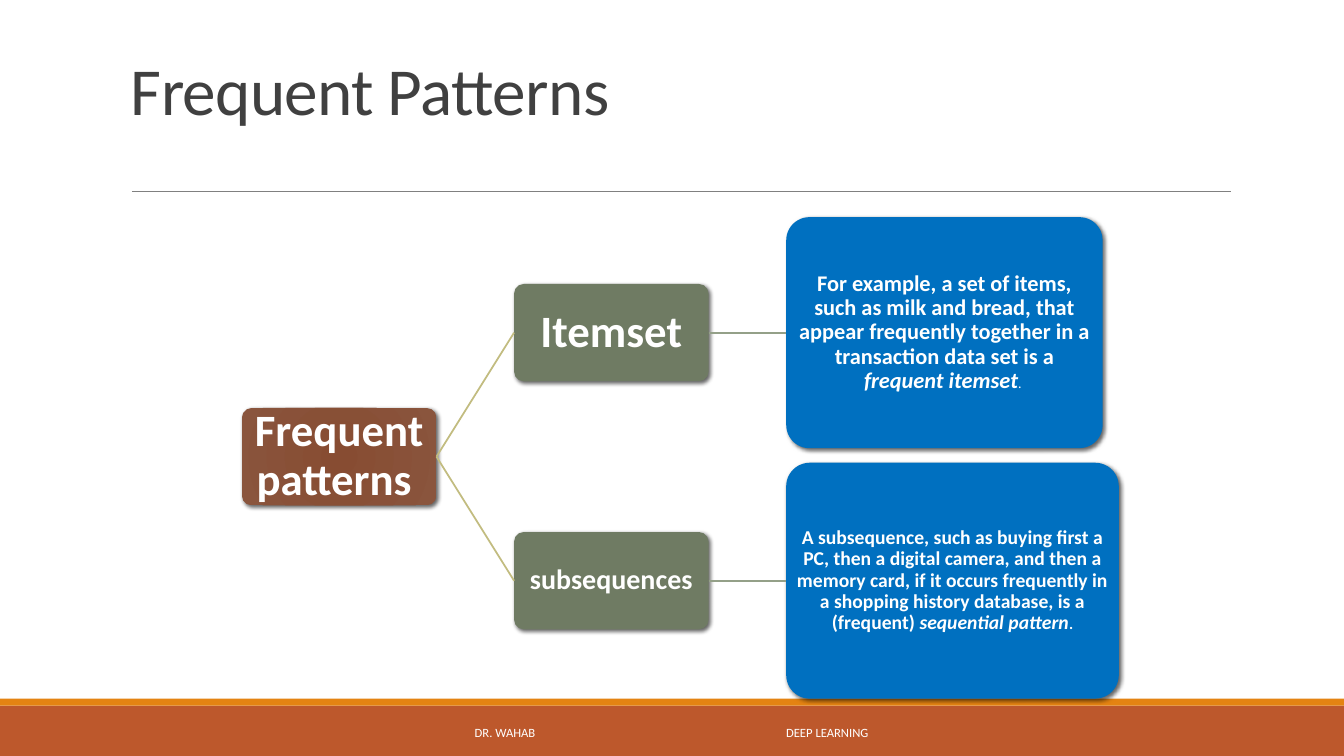
from dataclasses import dataclass

from lxml import etree
from pptx import Presentation
from pptx.dml.color import RGBColor as RGB
from pptx.enum.shapes import MSO_CONNECTOR as CONN, MSO_SHAPE as SHAPE
from pptx.enum.text import MSO_ANCHOR as ANCHOR, PP_ALIGN as ALIGN
from pptx.oxml.ns import qn
from pptx.util import Pt


@dataclass(frozen=True)
class Theme:
    font: str = "Calibri"
    title: str = "404040"
    white: str = "FFFFFF"
    rule: str = "808080"
    footer: str = "BD582C"
    stripe: str = "E48312"
    root: tuple = ("874C32", "8A553D")
    branch: str = "6F7B63"
    detail: str = "0070C0"
    root_link: str = "C2BC80"
    detail_link: str = "94A088"
    title_size: int = 48
    large: int = 32
    medium: int = 20
    body: int = 16
    small: int = 14
    footer_size: int = 9


T = Theme()
LEFT, RIGHT = 1, 3
NODE_W, NODE_H = 139, 69.5
ROOT_X, BRANCH_X, DETAIL_X = 172.8, 367.2, 561.6
ITEMSET_Y, ROOT_Y, SUBSEQ_Y = 237.6, 326.2, 414.8


def add_run(p, text, size, color, bold=False, italic=False):
    r = p.add_run()
    r.text = text
    f = r.font
    f.name, f.size, f.bold, f.italic = T.font, Pt(size), bold, italic
    f.color.rgb = RGB.from_string(color)
    return r


def add_label(slide, x, y, w, h, text, size, color, anchor):
    tf = slide.shapes.add_textbox(Pt(x), Pt(y), Pt(w), Pt(h)).text_frame
    tf.word_wrap = True
    tf.vertical_anchor = anchor
    return add_run(tf.paragraphs[0], text, size, color)


def add_bar(slide, y, h, color):
    sp = slide.shapes.add_shape(SHAPE.RECTANGLE, 0, Pt(y), Pt(960), Pt(h))
    sp.shadow.inherit = False
    sp.fill.solid()
    sp.fill.fore_color.rgb = RGB.from_string(color)
    sp.line.fill.background()


def add_line(slide, start, end, color, width):
    line = slide.shapes.add_connector(CONN.STRAIGHT, *map(Pt, start + end))
    line.line.color.rgb = RGB.from_string(color)
    line.line.width = Pt(width)
    etree.SubElement(line._element.spPr, qn("a:effectLst"))
    return line


def link(slide, source, target, color):
    line = add_line(slide, (0, 0), (0, 0), color, 1.25)
    line.begin_connect(source, RIGHT)
    line.end_connect(target, LEFT)


def set_shadow(sp):
    sp.shadow.inherit = False
    effects = sp._element.spPr.find(qn("a:effectLst"))
    shadow = etree.SubElement(effects, qn("a:outerShdw"), blurRad=str(Pt(3)),
                              dist=str(Pt(2)), dir="2700000", algn="ctr")
    color = etree.SubElement(shadow, qn("a:srgbClr"), val="000000")
    etree.SubElement(color, qn("a:alpha"), val="60000")


def set_radial_fill(sp, colors):
    sp.fill.gradient()
    for stop, color in zip(sp.fill.gradient_stops, colors):
        stop.color.rgb = RGB.from_string(color)
    grad = sp._element.spPr.find(qn("a:gradFill"))
    grad.remove(grad.find(qn("a:lin")))
    radial = etree.SubElement(grad, qn("a:path"), path="circle")
    etree.SubElement(radial, qn("a:fillToRect"), l="100000", t="100000",
                     r="100000", b="100000")


def add_node(slide, x, center_y, w, h, fill, inset, runs):
    sp = slide.shapes.add_shape(SHAPE.ROUNDED_RECTANGLE, Pt(x),
                                Pt(center_y - h / 2), Pt(w), Pt(h))
    sp.adjustments[0] = 0.1
    if isinstance(fill, tuple):
        set_radial_fill(sp, fill)
    else:
        sp.fill.solid()
        sp.fill.fore_color.rgb = RGB.from_string(fill)
    sp.line.fill.background()
    set_shadow(sp)
    tf = sp.text_frame
    tf.word_wrap = True
    tf.vertical_anchor = ANCHOR.MIDDLE
    tf.margin_left = tf.margin_right = Pt(inset)
    tf.margin_top = tf.margin_bottom = Pt(inset)
    p = tf.paragraphs[0]
    p.alignment = ALIGN.CENTER
    p.line_spacing = 0.9
    for text, size, bold, italic in runs:
        add_run(p, text, size, T.white, bold, italic)
    return sp


def add_frame(slide):
    add_bar(slide, 504, 36, T.footer)
    add_bar(slide, 499, 5, T.stripe)
    add_line(slide, (94.3, 136.8), (879, 136.8), T.rule, 0.5)
    title = add_label(slide, 86.4, 22.3, 792, 73.4, "Frequent Patterns",
                      T.title_size, T.title, ANCHOR.BOTTOM)
    title._r.get_or_add_rPr().set("spc", "-50")
    title._r.getparent().get_or_add_pPr().line_spacing = 0.85
    for x, text in ((332, "DR. WAHAB"), (554.4, "DEEP LEARNING")):
        add_label(slide, x, 508.5, 120, 28.8, text, T.footer_size, T.white,
                  ANCHOR.MIDDLE)


def add_tree(slide):
    root = add_node(slide, ROOT_X, ROOT_Y, NODE_W, NODE_H, T.root, 1.4,
                    [("Frequent patterns ", T.large, True, False)])
    branches = (
        (ITEMSET_Y, "Itemset", T.large, 226, 165, [
            ("For example, a set of items, such as milk and bread, that "
             "appear frequently together in a transaction data set is a ",
             T.body, True, False),
            ("frequent itemset", T.body, True, True),
            (". ", 10, False, False)]),
        (SUBSEQ_Y, "subsequences", T.medium, 237.6, 168.5, [
            ("A subsequence, such as buying first a PC, then a digital "
             "camera, and then a memory card, if it occurs frequently in a "
             "shopping history database, is a (frequent) ",
             T.small, True, False),
            ("sequential pattern", T.small, True, True),
            (".", 11, True, False)]),
    )
    for y, name, size, w, h, runs in branches:
        branch = add_node(slide, BRANCH_X, y, NODE_W, NODE_H, T.branch, 1,
                          [(name, size, True, False)])
        detail = add_node(slide, DETAIL_X, y, w, h, T.detail, 0.7, runs)
        link(slide, root, branch, T.root_link)
        link(slide, branch, detail, T.detail_link)


def main():
    prs = Presentation()
    prs.slide_width, prs.slide_height = Pt(960), Pt(540)
    slide = prs.slides.add_slide(prs.slide_layouts[6])
    add_frame(slide)
    add_tree(slide)
    prs.save("out.pptx")


if __name__ == "__main__":
    main()
